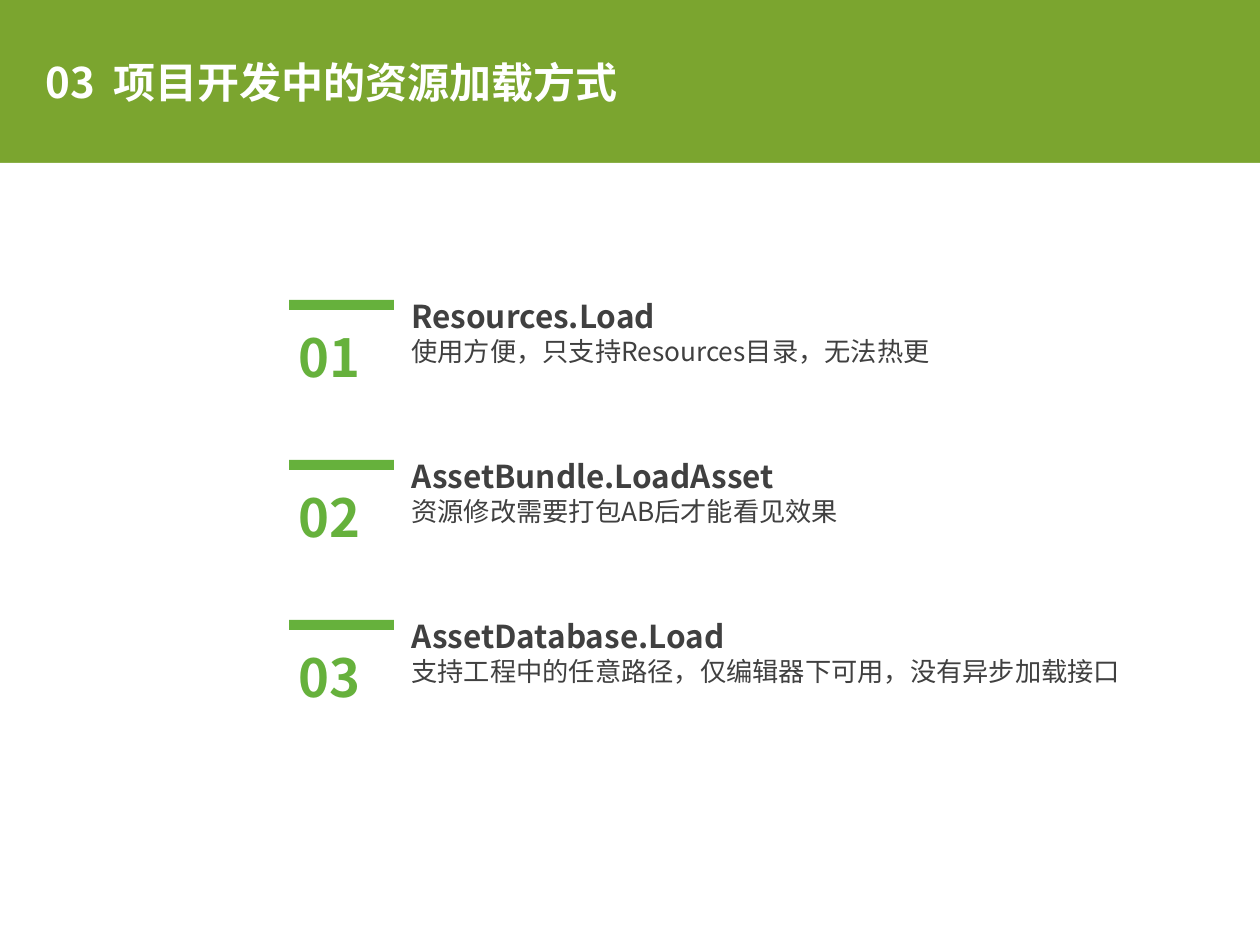
from dataclasses import dataclass

from pptx import Presentation, util as u
from pptx.dml.color import RGBColor
from pptx.enum import shapes, text
from pptx.oxml.ns import qn

EMU_PER_PX = 914400 / 126
FONT = "Noto Sans CJK SC"
COLORS = {"header": "7BA52F", "panel": "FFFFFF", "accent": "66B13C", "body": "404040"}
FIRST_ROW_TOP, ROW_PITCH = 291, 160


@dataclass(frozen=True)
class LoadMethod:
    name: str
    note: str
    note_width: int


METHODS = [
    LoadMethod("Resources.Load", "使用方便，只支持Resources目录，无法热更", 582),
    LoadMethod("AssetBundle.LoadAsset", "资源修改需要打包AB后才能看见效果", 553),
    LoadMethod("AssetDatabase.Load", "支持工程中的任意路径，仅编辑器下可用，没有异步加载接口", 772),
]


def px(length: int) -> u.Emu:
    return u.Emu(round(length * EMU_PER_PX))


def rgb(color: str) -> RGBColor:
    return RGBColor.from_string(COLORS[color])


def write(paragraph, content: str, *, size: int, color: str, bold: bool = False,
          tracking: int = 0) -> None:
    """Add one formatted run; tracking is in hundredths of a point."""
    run = paragraph.add_run()
    run.text = content
    run.font.size = u.Pt(size)
    run.font.bold = bold
    run.font.name = FONT
    run.font.color.rgb = rgb(color)
    properties = run.font._element
    east_asian = properties.makeelement(qn("a:ea"), {"typeface": FONT})
    properties.find(qn("a:latin")).addnext(east_asian)
    if tracking:
        properties.set("spc", str(tracking))


def add_bar(slide, left: int, top: int, width: int, height: int, color: str) -> None:
    bar = slide.shapes.add_shape(shapes.MSO_SHAPE.RECTANGLE,
                                 px(left), px(top), px(width), px(height))
    bar.shadow.inherit = False
    bar.fill.solid()
    bar.fill.fore_color.rgb = rgb(color)
    bar.line.fill.background()


def add_frame(slide, left: int, top: int, width: int, height: int):
    frame = slide.shapes.add_textbox(px(left), px(top), px(width), px(height)).text_frame
    frame.word_wrap = True
    frame.auto_size = text.MSO_AUTO_SIZE.SHAPE_TO_FIT_TEXT
    return frame


def add_heading(slide) -> None:
    heading = slide.shapes.title
    heading.left, heading.top = px(33), px(35)
    heading.width, heading.height = px(659), px(100)
    frame = heading.text_frame
    frame.word_wrap = True
    frame.auto_size = text.MSO_AUTO_SIZE.NONE
    frame.vertical_anchor = text.MSO_ANCHOR.MIDDLE
    line = frame.paragraphs[0]
    line.alignment = text.PP_ALIGN.LEFT
    line.line_spacing = 0.9
    line.space_before = u.Pt(10)
    style = {"size": 24, "color": "panel", "bold": True}
    write(line, "03", **style)
    write(line, " ", tracking=500, **style)
    write(line, "项目开发中的资源加载方式", **style)


def add_method(slide, index: int, method: LoadMethod) -> None:
    top = FIRST_ROW_TOP + index * ROW_PITCH

    # Name and note
    description = add_frame(slide, 399, top, method.note_width, 82)
    write(description.paragraphs[0], method.name, size=18, color="body", bold=True)
    write(description.add_paragraph(), method.note, size=15, color="body")

    # Accent bar and number
    add_bar(slide, 289, top + 9, 105, 10, "accent")
    number = add_frame(slide, 286, top + 9, 112, 96).paragraphs[0]
    number.line_spacing = 1.3
    write(number, f"{index + 1:02d}", size=30, color="accent", bold=True)


def main() -> None:
    deck = Presentation()
    deck.slide_width, deck.slide_height = px(1260), px(945)
    slide = deck.slides.add_slide(deck.slide_layouts.get_by_name("Title Only"))

    # Green header above a white panel
    slide.background.fill.solid()
    slide.background.fill.fore_color.rgb = rgb("header")
    add_bar(slide, 0, 163, 1260, 782, "panel")
    add_heading(slide)

    # Loading methods
    for index, method in enumerate(METHODS):
        add_method(slide, index, method)

    deck.save("out.pptx")


if __name__ == "__main__":
    main()
